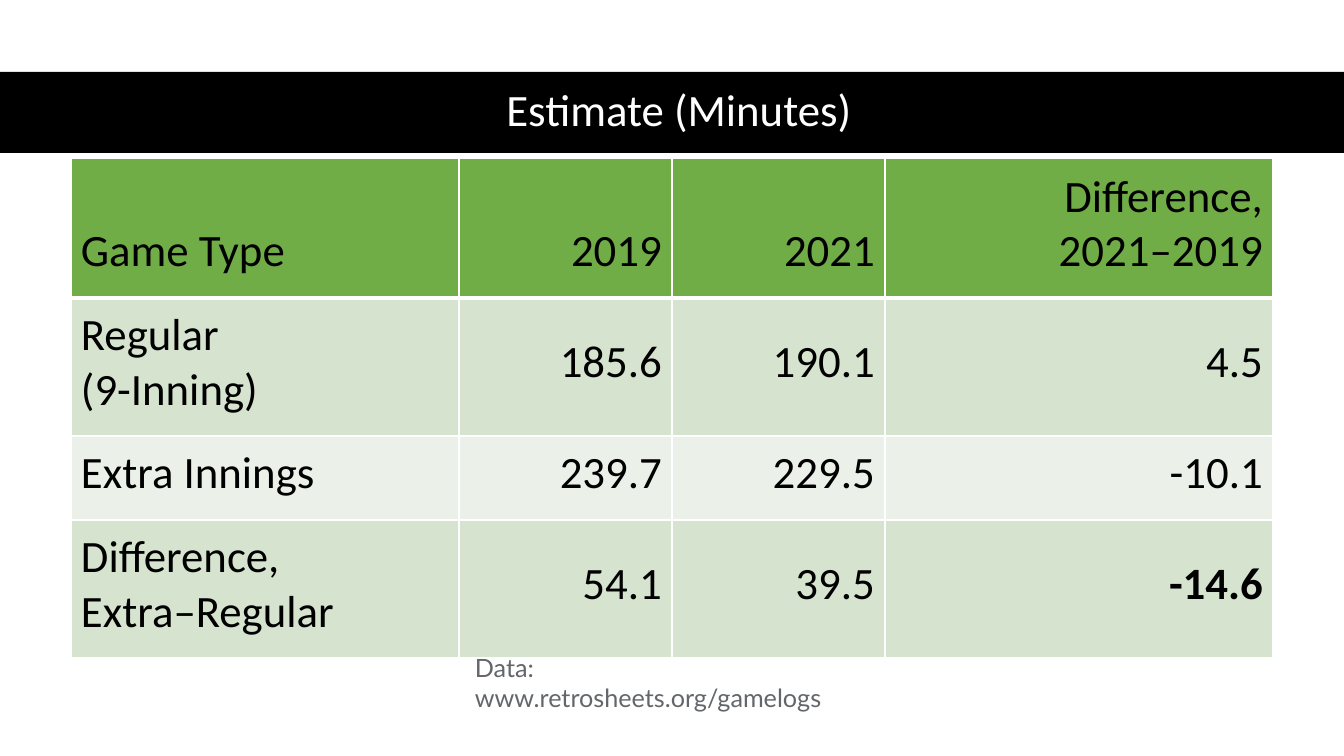
import pptx
import pptx.util
import pptx.dml.color
import pptx.enum.shapes
import pptx.enum.text
import pptx.oxml
import pptx.oxml.ns

RGB = pptx.dml.color.RGBColor
BLACK = RGB(0x00, 0x00, 0x00)
WHITE = RGB(0xFF, 0xFF, 0xFF)
GREEN = RGB(0x70, 0xAD, 0x47)
LIGHT = RGB(0xD5, 0xE3, 0xCF)
PALE = RGB(0xEB, 0xF1, 0xE9)
GREY = RGB(0x63, 0x66, 0x6A)

ALIGN = pptx.enum.text.PP_ALIGN
ANCHOR = pptx.enum.text.MSO_ANCHOR
FIT = pptx.enum.text.MSO_AUTO_SIZE

ROWS = [
    ["Game Type", "2019", "2021", "Difference,\n2021–2019"],
    ["Regular\n(9-Inning)", "185.6", "190.1", "4.5"],
    ["Extra Innings", "239.7", "229.5", "-10.1"],
    ["Difference,\nExtra–Regular", "54.1", "39.5", "-14.6"],
]
WIDTHS = [388, 213, 213, 388]
HEIGHTS = [140, 138, 84, 138]
FILLS = [GREEN, LIGHT, PALE, LIGHT]


def px(count):
    """Turn pixels, 100.8 to the inch, into EMU."""
    return pptx.util.Emu(round(count * 914400 / 100.8))


def box(*sides):
    return [px(side) for side in sides]


def style(thing, **values):
    for name, value in values.items():
        setattr(thing, name, value)


def write(frame, text, face, size, color, align=ALIGN.LEFT, bold=False, space=1.0):
    frame.text = text
    for para in frame.paragraphs:
        style(para, alignment=align, line_spacing=space)
        style(para.runs[0].font, name=face, size=pptx.util.Pt(size), bold=bold)
        para.runs[0].font.color.rgb = color


def add_bar(slide, sides, color):
    bar = slide.shapes.add_shape(pptx.enum.shapes.MSO_SHAPE.RECTANGLE, *box(*sides))
    bar.shadow.inherit = False
    bar.fill.solid()
    bar.fill.fore_color.rgb = color
    bar.line.fill.background()


def add_text(slide, sides, text, face, size, color, frame=None, **look):
    area = slide.shapes.add_textbox(*box(*sides)).text_frame
    style(area, word_wrap=True, **(frame or {}))
    write(area, text, face, size, color, **look)


def add_edge(cell, side, points):
    """Draw a white border on one side of a cell."""
    space = pptx.oxml.ns.nsdecls("a")
    cell._tc.get_or_add_tcPr().append(pptx.oxml.parse_xml(
        f'<a:ln{side} {space} w="{pptx.util.Pt(points)}"><a:solidFill>'
        f'<a:srgbClr val="{WHITE}"/></a:solidFill></a:ln{side}>'))


def fill_cell(cell, row, col):
    head, label = row == 0, col == 0
    thick = {"T": 3 if row == 1 else 1, "B": 3 if head else 1}
    for side in "LRTB":
        add_edge(cell, side, thick.get(side, 1))
    cell.fill.solid()
    cell.fill.fore_color.rgb = FILLS[row]
    anchor = ANCHOR.BOTTOM if head else ANCHOR.TOP if label else ANCHOR.MIDDLE
    style(cell, vertical_anchor=anchor, margin_left=px(10), margin_top=px(10),
          margin_right=px(10), margin_bottom=px(19))
    write(cell.text_frame, ROWS[row][col], "Calibri", 32, BLACK,
          align=ALIGN.LEFT if label else ALIGN.RIGHT,
          bold=(row, col) == (len(ROWS) - 1, len(WIDTHS) - 1))


def add_grid(slide, left, top):
    sides = box(left, top, sum(WIDTHS), sum(HEIGHTS))
    grid = slide.shapes.add_table(len(ROWS), len(WIDTHS), *sides).table
    style(grid, first_row=False, horz_banding=False)
    for col, width in zip(grid.columns, WIDTHS):
        col.width = px(width)
    for row, height in enumerate(HEIGHTS):
        grid.rows[row].height = px(height)
        for col in range(len(WIDTHS)):
            fill_cell(grid.cell(row, col), row, col)


def main():
    deck = pptx.Presentation()
    style(deck, slide_width=px(1344), slide_height=px(756))
    slide = deck.slides.add_slide(deck.slide_layouts[6])
    add_bar(slide, (0, 72, 1344, 81), BLACK)
    add_text(slide, (61, 71, 1236, 81), "Estimate (Minutes)", "Calibri", 32, WHITE,
             frame={"vertical_anchor": ANCHOR.MIDDLE}, align=ALIGN.CENTER, space=0.9)
    add_grid(slide, 71, 158)
    add_text(slide, (465, 647, 415, 40), "Data: www.retrosheets.org/gamelogs",
             "Lato", 18, GREY, frame={"auto_size": FIT.SHAPE_TO_FIT_TEXT})
    deck.save("out.pptx")


if __name__ == "__main__":
    main()
